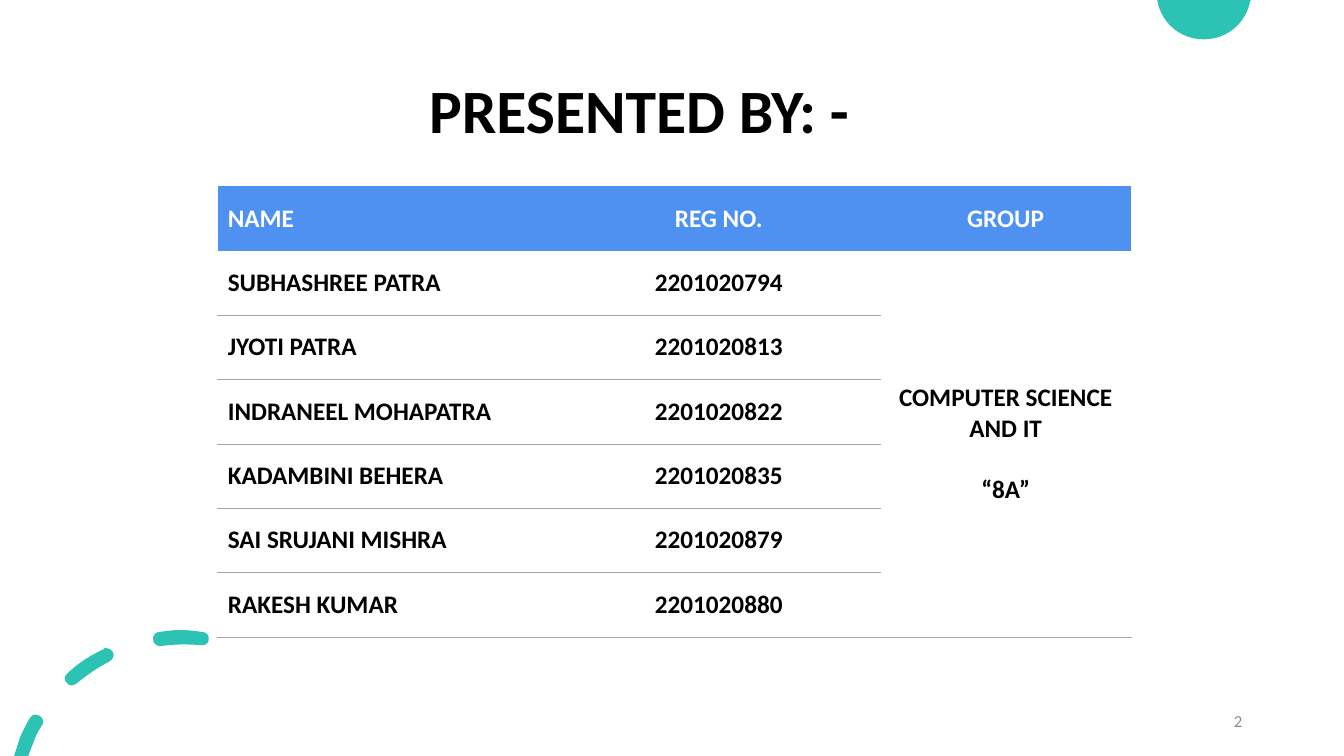
"""Build the team slide: title, member table and teal corner decorations."""
from dataclasses import dataclass

from lxml.etree import SubElement
from pptx import Presentation
from pptx.dml.color import RGBColor
from pptx.enum.text import MSO_ANCHOR, PP_ALIGN
from pptx.oxml.ns import qn
from pptx.slide import Slide
from pptx.table import _Cell
from pptx.text.text import _Paragraph
from pptx.util import Inches, Pt

COLORS = {"teal": "2CC3B4", "header": "4E91F0", "rule": "A6A6A6",
          "white": "FFFFFF", "black": "000000", "number": "8C8C8C"}
FONT = "Calibri"
NO_STYLE = "{2D5ABB26-0587-4C30-8999-92F81FD0307C}"
TABLE_HEIGHT = 4.47
COLUMN_WIDTHS = (3.37, 3.2, 2.49)
HEADINGS = ("NAME", "REG NO.", "GROUP")


@dataclass(frozen=True)
class Member:
    name: str
    number: str


@dataclass(frozen=True)
class Outline:
    start: tuple[float, float]
    segments: tuple[tuple[float, ...], ...]


@dataclass(frozen=True)
class Label:
    text: str
    left: float
    top: float
    width: float
    height: float
    size: float
    color: str
    bold: bool
    align: PP_ALIGN
    line_spacing: float = 1.0


MEMBERS = (
    Member("SUBHASHREE PATRA", "2201020794"),
    Member("JYOTI PATRA", "2201020813"),
    Member("INDRANEEL MOHAPATRA", "2201020822"),
    Member("KADAMBINI BEHERA", "2201020835"),
    Member("SAI SRUJANI MISHRA", "2201020879"),
    Member("RAKESH KUMAR", "2201020880"),
)

LABELS = (
    Label("PRESENTED BY: -", 0.59, 0.4, 11.5, 1.45, 44, "black", True, PP_ALIGN.CENTER, 0.9),
    Label("2", 9.42, 6.95, 3, 0.4, 12, "number", False, PP_ALIGN.RIGHT),
)

CORNER_DISC = (
    Outline((11.48, 0), ((12.41, 0), (12.4, 0.01),
                         (12.36, 0.23, 12.17, 0.39, 11.94, 0.39),
                         (11.71, 0.39, 11.52, 0.23, 11.48, 0.01))),
)

DASHED_ARC = (
    Outline((0.36, 7.09), ((0.34, 7.08, 0.31, 7.1, 0.3, 7.12),
                           (0.26, 7.18, 0.23, 7.25, 0.2, 7.31),
                           (0.14, 7.5), (0.28, 7.5), (0.33, 7.37),
                           (0.35, 7.31, 0.38, 7.25, 0.42, 7.19),
                           (0.44, 7.16, 0.42, 7.11, 0.39, 7.1),
                           (0.38, 7.09, 0.37, 7.09, 0.36, 7.09))),
    Outline((1.05, 6.43), ((1.04, 6.43, 1.03, 6.43, 1.03, 6.44),
                           (0.9, 6.5, 0.77, 6.58, 0.67, 6.68),
                           (0.64, 6.7, 0.63, 6.75, 0.66, 6.77),
                           (0.67, 6.79, 0.69, 6.8, 0.71, 6.8),
                           (0.73, 6.8, 0.74, 6.79, 0.76, 6.78),
                           (0.86, 6.7, 0.97, 6.62, 1.09, 6.56),
                           (1.12, 6.54, 1.14, 6.5, 1.12, 6.47),
                           (1.11, 6.44, 1.08, 6.43, 1.05, 6.43))),
    Outline((1.79, 6.25), ((1.72, 6.25, 1.65, 6.26, 1.58, 6.27),
                           (1.54, 6.27, 1.51, 6.31, 1.52, 6.35),
                           (1.52, 6.38, 1.55, 6.41, 1.59, 6.41),
                           (1.73, 6.39, 1.86, 6.39, 1.99, 6.4),
                           (2.03, 6.41, 2.07, 6.38, 2.07, 6.35),
                           (2.08, 6.31, 2.05, 6.27, 2.01, 6.27),
                           (1.94, 6.26, 1.86, 6.25, 1.79, 6.25))),
)


def rgb(name: str) -> RGBColor:
    return RGBColor.from_string(COLORS[name])


def draw_decoration(page: Slide, outlines: tuple[Outline, ...]) -> None:
    builder = page.shapes.build_freeform(*map(Inches, outlines[0].start))
    for index, outline in enumerate(outlines):
        if index:
            builder.move_to(*map(Inches, outline.start))
        ends = [(Inches(segment[-2]), Inches(segment[-1])) for segment in outline.segments]
        builder.add_line_segments(ends, close=True)
    shape = builder.convert_to_shape()
    segments = [segment for outline in outlines for segment in outline.segments]
    for line, segment in zip(list(shape._element.iter(qn("a:lnTo"))), segments):
        if len(segment) == 6:
            curve = line.makeelement(qn("a:cubicBezTo"))
            for x, y in zip(segment[::2], segment[1::2]):
                SubElement(curve, qn("a:pt"), x=str(Inches(x) - shape.left),
                           y=str(Inches(y) - shape.top))
            line.getparent().replace(line, curve)
    shape.shadow.inherit = False
    shape.fill.solid()
    shape.fill.fore_color.rgb = rgb("teal")
    shape.line.fill.background()


def write(para: _Paragraph, text: str, size: float, color: str, bold: bool,
          align: PP_ALIGN) -> None:
    para.alignment = align
    span = para.add_run()
    span.text = text
    span.font.name = FONT
    span.font.size = Pt(size)
    span.font.bold = bold
    span.font.color.rgb = rgb(color)


def draw_label(page: Slide, label: Label) -> None:
    box = page.shapes.add_textbox(Inches(label.left), Inches(label.top),
                                  Inches(label.width), Inches(label.height))
    frame = box.text_frame
    frame.word_wrap = True
    frame.vertical_anchor = MSO_ANCHOR.MIDDLE
    para = frame.paragraphs[0]
    para.line_spacing = label.line_spacing
    write(para, label.text, label.size, label.color, label.bold, label.align)


def set_border(cell: _Cell, side: str, color: str, width: float) -> None:
    line = SubElement(cell._tc.get_or_add_tcPr(), qn(f"a:ln{side}"), w=str(Pt(width)))
    fill = SubElement(line, qn("a:solidFill"))
    SubElement(fill, qn("a:srgbClr"), val=COLORS[color])


def draw_table(page: Slide) -> None:
    rows = [HEADINGS] + [(member.name, member.number, "") for member in MEMBERS]
    frame = page.shapes.add_table(len(rows), len(HEADINGS), Inches(2.16), Inches(1.85),
                                  Inches(sum(COLUMN_WIDTHS)), Inches(TABLE_HEIGHT))
    table = frame.table
    table._tbl.tblPr.find(qn("a:tableStyleId")).text = NO_STYLE
    table.horz_banding = False
    for column, width in zip(table.columns, COLUMN_WIDTHS):
        column.width = Inches(width)
    for r, texts in enumerate(rows):
        table.rows[r].height = Inches(TABLE_HEIGHT / len(rows))
        for c, text in enumerate(texts):
            cell = table.cell(r, c)
            cell.vertical_anchor = MSO_ANCHOR.MIDDLE
            if r == 0:
                cell.fill.solid()
                cell.fill.fore_color.rgb = rgb("header")
            else:
                set_border(cell, "L", "white", 1)
                set_border(cell, "R", "white", 1)
                set_border(cell, "B", "rule", 0.25)
                cell.fill.background()
            if text:
                write(cell.text_frame.paragraphs[0], text, 18, "black" if r else "white",
                      True, PP_ALIGN.CENTER if c else PP_ALIGN.LEFT)
    group = table.cell(1, 2)
    group.merge(table.cell(len(MEMBERS), 2))
    write(group.text_frame.paragraphs[0], "COMPUTER SCIENCE AND IT", 18, "black", True,
          PP_ALIGN.CENTER)
    section = group.text_frame.add_paragraph()
    section.space_before = Pt(22)
    write(section, "“8A”", 18, "black", True, PP_ALIGN.CENTER)


def main() -> None:
    deck = Presentation()
    deck.slide_width, deck.slide_height = Inches(13.33), Inches(7.5)
    page = deck.slides.add_slide(deck.slide_layouts[6])
    for outlines in (CORNER_DISC, DASHED_ARC):
        draw_decoration(page, outlines)
    draw_table(page)
    for label in LABELS:
        draw_label(page, label)
    deck.save("out.pptx")


if __name__ == "__main__":
    main()
